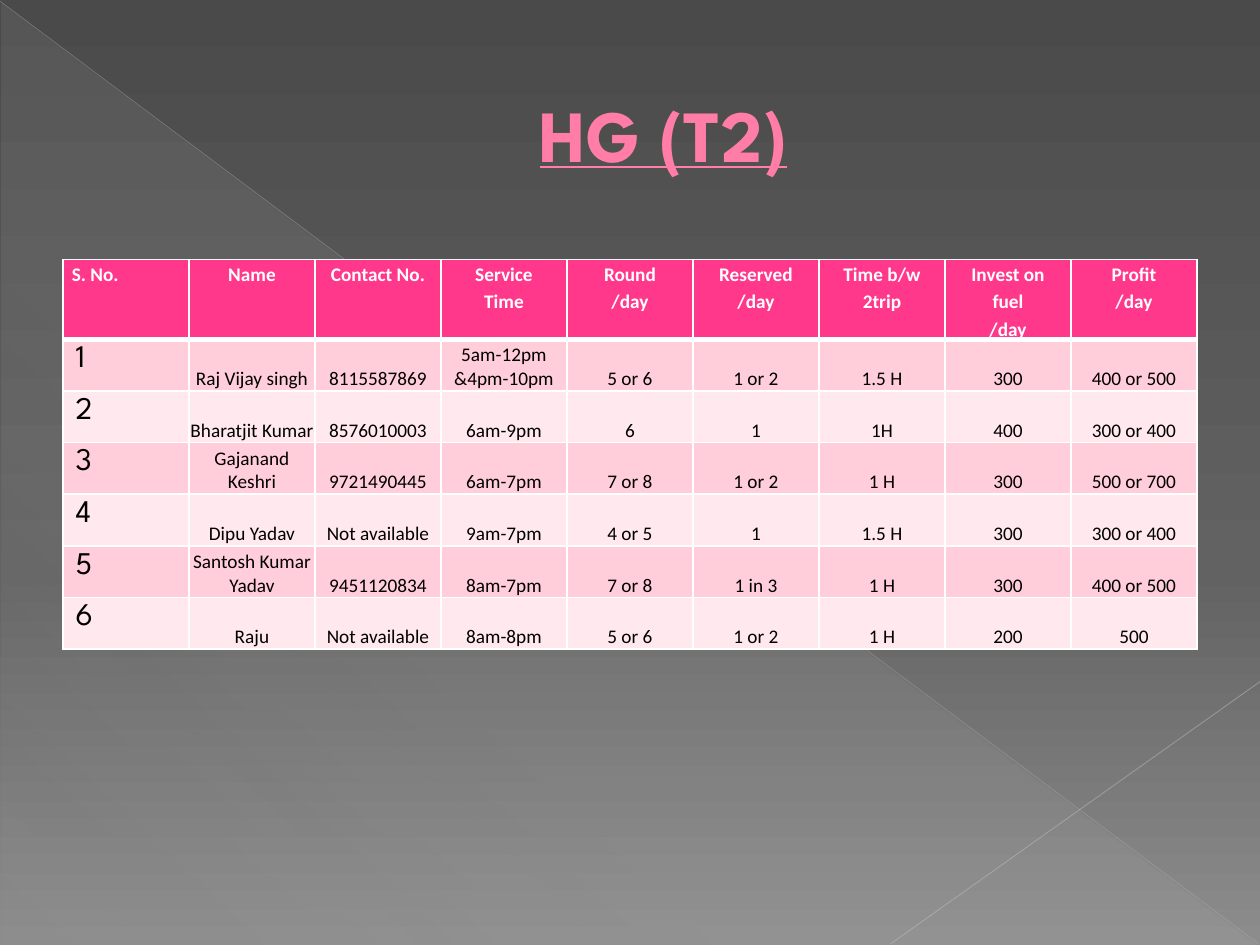
from lxml import etree
from pptx import Presentation
from pptx.dml.color import RGBColor
from pptx.enum.shapes import MSO_CONNECTOR, MSO_SHAPE
from pptx.enum.text import MSO_ANCHOR, PP_ALIGN
from pptx.oxml.ns import qn
from pptx.util import Inches, Pt

WHITE = RGBColor(0xFF, 0xFF, 0xFF)
BLACK = RGBColor(0x00, 0x00, 0x00)
PINK = RGBColor(0xFF, 0x7D, 0xA7)
PLUM = RGBColor(0xB1, 0x27, 0x61)
HOT = RGBColor(0xFF, 0x38, 0x8C)
ROSE = RGBColor(0xFF, 0xCE, 0xDA)
BLUSH = RGBColor(0xFF, 0xE8, 0xEE)
DARK = RGBColor(0x4A, 0x4A, 0x4A)
MID = RGBColor(0x62, 0x62, 0x62)
LIGHT = RGBColor(0x8C, 0x8C, 0x8C)
MIST = RGBColor(0xD2, 0xD2, 0xD2)
GREY = RGBColor(0xBF, 0xBF, 0xBF)
SILVER = RGBColor(0xC6, 0xC6, 0xC6)


def blend(owner, fill, stops, angle):
    fill.gradient()
    grad = owner.element.find(".//" + qn("a:gradFill"))
    grad.find(qn("a:lin")).set("ang", str(angle * 60000))
    group = grad.find(qn("a:gsLst"))
    for old in list(group):
        group.remove(old)
    for place, color, alpha in stops:
        stop = etree.SubElement(group, qn("a:gs"), pos=str(place * 1000))
        clr = etree.SubElement(stop, qn("a:srgbClr"), val=str(color))
        etree.SubElement(clr, qn("a:alpha"), val=str(alpha * 1000))


def stroke(parent, index, tag, color, width):
    edge = etree.Element(qn(tag), w=str(Pt(width)))
    solid = etree.SubElement(edge, qn("a:solidFill"))
    etree.SubElement(solid, qn("a:srgbClr"), val=str(color))
    parent.insert(index, edge)


prs = Presentation()
prs.slide_width = Inches(10)
prs.slide_height = Inches(7.5)
slide = prs.slides.add_slide(prs.slide_layouts[6])
blend(slide, slide.background.fill,
      [(0, DARK, 100), (60, MID, 100), (100, LIGHT, 100)], 90)

wedge = slide.shapes.add_shape(MSO_SHAPE.RIGHT_TRIANGLE, Inches(0.01), Inches(0.02),
                               Inches(9.98), Inches(7.48))
wedge.shadow.inherit = False
wedge.line.fill.background()
blend(wedge, wedge.fill, [(0, MIST, 10), (70, MIST, 8), (100, MIST, 1)], 133)

for x1, y1, x2, y2, color, width, alpha in [
    (0, 0.01, 9.99, 7.49, GREY, 0.39, 35),
    (10, 5.41, 7.07, 7.49, SILVER, 0.47, 45),
]:
    ray = slide.shapes.add_connector(MSO_CONNECTOR.STRAIGHT, Inches(x1), Inches(y1),
                                     Inches(x2), Inches(y2))
    ray.line.width = Pt(width)
    ray.line.color.rgb = color
    clr = ray.element.find(".//" + qn("a:srgbClr"))
    etree.SubElement(clr, qn("a:alpha"), val=str(alpha * 1000))
    etree.SubElement(ray.element.spPr, qn("a:effectLst"))

title = slide.shapes.add_textbox(Inches(0.5), Inches(0.29), Inches(9), Inches(1.53))
frame = title.text_frame
frame.word_wrap = True
frame.vertical_anchor = MSO_ANCHOR.MIDDLE
frame.margin_left = Inches(0.63)
frame.text = "HG (T2)"
para = frame.paragraphs[0]
para.alignment = PP_ALIGN.CENTER
font = para.runs[0].font
font.name = "League Spartan"
font.size = Pt(42)
font.bold = True
font.underline = True
font.color.rgb = PINK
stroke(title.element.find(".//" + qn("a:rPr")), 0, "a:ln", PLUM, 0.5)

rows = [
    ["S. No.", "Name", "Contact No.", "Service\nTime", "Round\n/day", "Reserved /day",
     "Time b/w 2trip", "Invest on fuel\n/day", "Profit\n/day"],
    ["1", "Raj Vijay singh", "8115587869", "5am-12pm &4pm-10pm", "5 or 6", "1 or 2",
     "1.5 H", "300", "400 or 500"],
    ["2", "Bharatjit Kumar", "8576010003", "6am-9pm", "6", "1", "1H", "400", "300 or 400"],
    ["3", "Gajanand Keshri", "9721490445", "6am-7pm", "7 or 8", "1 or 2", "1 H", "300",
     "500 or 700"],
    ["4", "Dipu Yadav", "Not available", "9am-7pm", "4 or 5", "1", "1.5 H", "300",
     "300 or 400"],
    ["5", "Santosh Kumar Yadav", "9451120834", "8am-7pm", "7 or 8", "1 in 3", "1 H", "300",
     "400 or 500"],
    ["6", "Raju", "Not available", "8am-8pm", "5 or 6", "1 or 2", "1 H", "200", "500"],
]
holder = slide.shapes.add_table(len(rows), len(rows[0]), Inches(0.5), Inches(2.06),
                                Inches(9), Inches(2.87))
table = holder.table
for col in table.columns:
    col.width = Inches(1)
for row in table.rows:
    row.height = Inches(0.41)

for r, row in enumerate(rows):
    for c, text in enumerate(row):
        cell = table.cell(r, c)
        head = r == 0
        count = c == 0 and not head
        cell.text_frame.text = text
        cell.fill.solid()
        cell.fill.fore_color.rgb = HOT if head else ROSE if r % 2 else BLUSH
        if head:
            cell.margin_left = cell.margin_right = Inches(0.07)
            cell.margin_top = cell.margin_bottom = 0
        elif not count:
            cell.vertical_anchor = MSO_ANCHOR.BOTTOM
            cell.margin_left = cell.margin_right = cell.margin_top = Inches(0.01)
            cell.margin_bottom = 0
        for para in cell.text_frame.paragraphs:
            para.alignment = PP_ALIGN.CENTER if c else PP_ALIGN.LEFT
            if head:
                para.line_spacing = 1.15
            font = para.runs[0].font
            font.name = "League Spartan" if count else "Calibri"
            font.size = Pt(18 if count else 11)
            font.bold = head
            font.color.rgb = WHITE if head else BLACK

for r, line in enumerate(holder.element.iter(qn("a:tr"))):
    for props in line.iter(qn("a:tcPr")):
        widths = [1, 1, 3 if r == 1 else 1, 3 if r == 0 else 1]
        for i, (side, width) in enumerate(zip("LRTB", widths)):
            stroke(props, i, "a:ln" + side, WHITE, width)

prs.save("out.pptx")
